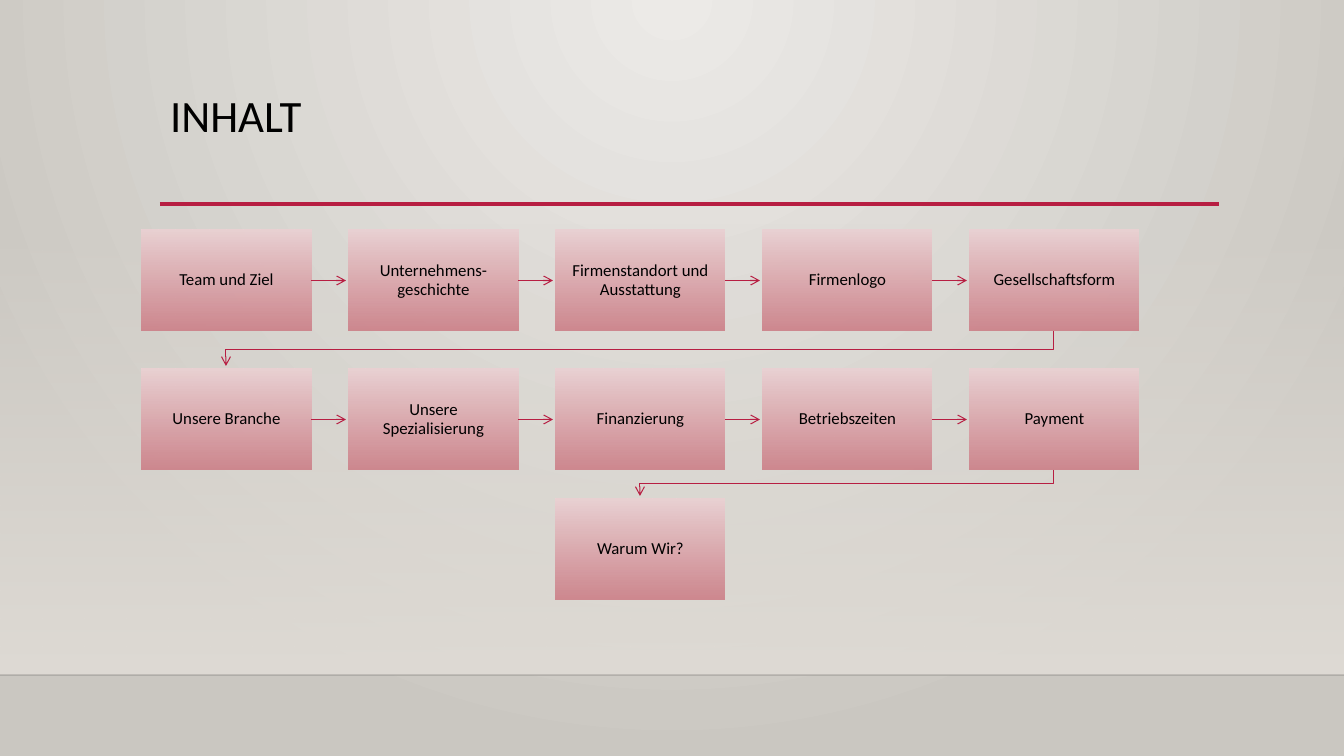
from lxml import etree
from pptx import Presentation
from pptx import util as u
from pptx.dml.color import RGBColor
from pptx.enum import shapes, text
from pptx.oxml.ns import qn

PX = 914400 / 100.8  # EMU per px
WIDTH, HEIGHT = 1344, 756
RED, BLACK = "B71E42", "000000"

# Grid of steps
STEP_ROWS = [
    (230, 0, ["Team und Ziel", "Unternehmens-geschichte",
              "Firmenstandort und Ausstattung", "Firmenlogo", "Gesellschaftsform"]),
    (369, 0, ["Unsere Branche", "Unsere Spezialisierung", "Finanzierung",
              "Betriebszeiten", "Payment"]),
    (499, 2, ["Warum Wir?"]),
]
STEP_LEFT, STEP_PITCH, STEP_W, STEP_H = 142, 207, 169, 101
ARROW_GAP = 3


def px(length):
    return u.Emu(round(length * PX))


def color(hex_string):
    return RGBColor.from_string(hex_string)


def set_values(target, values):
    for name, value in values.items():
        setattr(target, name, value)


def set_alpha(parent, percent):
    for srgb in parent.iter(qn("a:srgbClr")):
        etree.SubElement(srgb, qn("a:alpha"), val=str(percent * 1000))


def set_gradient(fill, element, stops):
    """Fill from top to bottom with two (colour, opacity) stops."""
    fill.gradient()
    fill.gradient_angle = 270
    for stop, (hex_string, _) in zip(fill.gradient_stops, stops):
        stop.color.rgb = color(hex_string)
    for node, (_, opacity) in zip(element.iter(qn("a:gs")), stops):
        if opacity < 100:
            set_alpha(node, opacity)


def set_line(shape, hex_string, points, arrow=False):
    set_values(shape.line, {"width": u.Pt(points)})
    shape.line.color.rgb = color(hex_string)
    if arrow:
        etree.SubElement(shape.line._get_or_add_ln(), qn("a:tailEnd"), type="arrow")


def set_text(frame, words, size, frame_values, para_values):
    set_values(frame, {"word_wrap": True, **frame_values})
    para = frame.paragraphs[0]
    set_values(para, {"line_spacing": 0.9, **para_values})
    span = para.add_run()
    span.text = words
    set_values(span.font, {"name": "Calibri", "size": u.Pt(size), "bold": False})
    span.font.color.rgb = color(BLACK)


def add_rule(page, start, end, hex_string, points, arrow=False):
    rule = page.shapes.add_connector(
        shapes.MSO_CONNECTOR.STRAIGHT, *map(px, start), *map(px, end))
    set_line(rule, hex_string, points, arrow)
    etree.SubElement(rule.element.spPr, qn("a:effectLst"))
    return rule


def add_gradient_box(page, left, top, width, height, stops):
    box = page.shapes.add_shape(
        shapes.MSO_SHAPE.RECTANGLE, *map(px, (left, top, width, height)))
    box.shadow.inherit = False
    box.line.fill.background()
    set_gradient(box.fill, box.element, stops)
    return box


def add_step(page, left, top, words):
    box = add_gradient_box(page, left, top, STEP_W, STEP_H,
                           [("EAD1D3", 100), ("CD828A", 92)])
    margins = {f"margin_{side}": px(9) for side in ("left", "top", "right", "bottom")}
    set_text(box.text_frame, words, 12,
             {"vertical_anchor": text.MSO_ANCHOR.MIDDLE, **margins},
             {"alignment": text.PP_ALIGN.CENTER})
    return box


def add_bent_arrow(page, points):
    builder = page.shapes.build_freeform(*points[0], scale=PX)
    builder.add_line_segments(points[1:], close=False)
    arrow = builder.convert_to_shape()
    arrow.shadow.inherit = False
    arrow.fill.background()
    set_line(arrow, RED, 0.75, arrow=True)


def add_backdrop(page):
    # Radial background
    set_gradient(page.background.fill, page.element, [("ECEAE7", 100), ("CAC7C1", 100)])
    linear = next(page.element.iter(qn("a:lin")))
    radial = etree.Element(qn("a:path"), path="circle")
    etree.SubElement(radial, qn("a:fillToRect"),
                     l="43000", t="0", r="43000", b="100000")
    linear.getparent().replace(linear, radial)

    # Wall fading in down to the floor line
    add_gradient_box(page, 0, 223, WIDTH, 452, [("DFDBD5", 0), ("DFDBD5", 100)])
    floor = add_rule(page, (0, 675), (WIDTH, 675), "000001", 1)
    set_alpha(floor.element.spPr, 20)


def add_title(page):
    title = page.shapes.title
    set_values(title, {"left": px(160), "top": px(89),
                       "width": px(1058), "height": px(116)})
    set_text(title.text_frame, "INHALT", 32,
             {"vertical_anchor": text.MSO_ANCHOR.TOP, "auto_size": text.MSO_AUTO_SIZE.NONE},
             {"alignment": text.PP_ALIGN.LEFT})
    add_rule(page, (160, 204), (1219, 204), RED, 2.5)


def add_flow(page):
    for index, (top, first_column, labels) in enumerate(STEP_ROWS):
        middle, bottom = top + STEP_H / 2, top + STEP_H
        for column, words in enumerate(labels, first_column):
            left = STEP_LEFT + column * STEP_PITCH
            right = left + STEP_W
            box = add_step(page, left, top, words)
            # Arrow to the next step in the row
            if column < first_column + len(labels) - 1:
                end = left + STEP_PITCH - ARROW_GAP
                arrow = add_rule(page, (right, middle), (end, middle), RED, 0.75, arrow=True)
                arrow.begin_connect(box, 3)
        # Bent arrow to the first step of the next row
        if index < len(STEP_ROWS) - 1:
            next_top, next_column, _ = STEP_ROWS[index + 1]
            start_x = left + STEP_W // 2
            end_x = STEP_LEFT + next_column * STEP_PITCH + STEP_W // 2
            turn = (bottom + next_top) // 2
            add_bent_arrow(page, [(start_x, bottom), (start_x, turn),
                                  (end_x, turn), (end_x, next_top - ARROW_GAP)])


def main():
    deck = Presentation()
    set_values(deck, {"slide_width": px(WIDTH), "slide_height": px(HEIGHT)})
    page = deck.slides.add_slide(deck.slide_layouts[5])
    add_backdrop(page)
    add_title(page)
    add_flow(page)
    deck.save("out.pptx")


if __name__ == "__main__":
    main()
